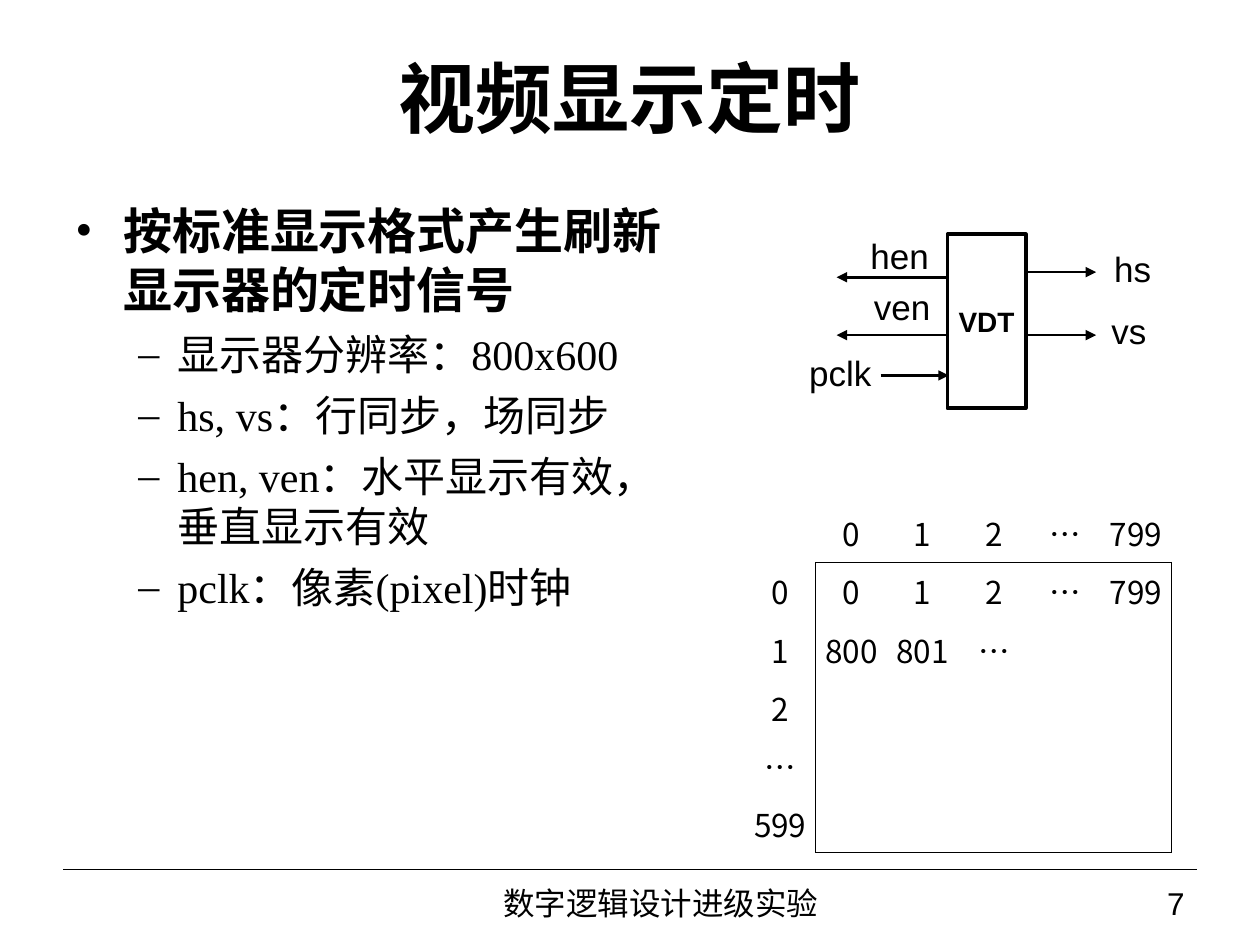
from pptx import Presentation
from pptx.dml.color import RGBColor
from pptx.enum.shapes import MSO_CONNECTOR, MSO_SHAPE
from pptx.enum.text import MSO_ANCHOR, PP_ALIGN
from pptx.oxml.ns import qn
from pptx.util import Inches, Pt
from lxml import etree

LEFT, CENTER, RIGHT = PP_ALIGN.LEFT, PP_ALIGN.CENTER, PP_ALIGN.RIGHT
TOP, MIDDLE = MSO_ANCHOR.TOP, MSO_ANCHOR.MIDDLE
STRAIGHT, RECTANGLE = MSO_CONNECTOR.STRAIGHT, MSO_SHAPE.RECTANGLE
COLORS = {"ink": "000000", "paper": "FFFFFF"}
SERIF, SANS, CJK = "Times New Roman", "Arial", "Noto Sans CJK SC"
NO_STYLE = "{2D5ABB26-0587-4C30-8999-92F81FD0307C}"

BULLETS = [
    (0, "按标准显示格式产生刷新显示器的定时信号"),
    (1, "显示器分辨率：800x600"),
    (1, "hs, vs：行同步，场同步"),
    (1, "hen, ven：水平显示有效，垂直显示有效"),
    (1, "pclk：像素(pixel)时钟"),
]
# Per level: size, bold, left margin, hanging indent, bullet
LEVELS = [(28, True, 0.38, 0.38, "•"), (24, False, 0.81, 0.31, "–")]

PIXELS = [
    ["", "0", "1", "2", "…", "799"],
    ["0", "0", "1", "2", "…", "799"],
    ["1", "800", "801", "…", "", ""],
    ["2", "", "", "", "", ""],
    ["…", "", "", "", "", ""],
    ["599", "", "", "", "", ""],
]

# Signal arrows: tail point x, head point x, y
ARROWS = [(8.15, 8.7, 2.16), (8.15, 8.7, 2.66), (7.53, 6.64, 2.2),
          (7.51, 6.64, 2.66), (6.99, 7.53, 2.98)]
# Signal names: text, middle x, top
SIGNALS = [("hs", 8.99, 1.96), ("vs", 8.96, 2.45), ("hen", 7.14, 1.86),
           ("ven", 7.16, 2.26), ("pclk", 6.67, 2.79)]
SIGNAL_WIDTH = 0.6


def color(name):
    return RGBColor.from_string(COLORS[name])


def style_paragraph(para, size, font, align=LEFT, bold=False):
    para.alignment = align
    for span in para.runs:
        span.font.size = Pt(size)
        span.font.name = font
        span.font.bold = bold
        span.font.color.rgb = color("ink")


def add_text(page, text, place, size, font, align, bold=False, inset=True):
    box = page.shapes.add_textbox(*map(Inches, place))
    frame = box.text_frame
    frame.word_wrap = True
    frame.vertical_anchor = MIDDLE
    if not inset:
        frame.margin_left = frame.margin_right = 0
        frame.margin_top = frame.margin_bottom = 0
    frame.text = text
    style_paragraph(frame.paragraphs[0], size, font, align, bold)


def add_bullets(page):
    box = page.shapes.add_textbox(Inches(0.5), Inches(1.54), Inches(4.97), Inches(5.35))
    frame = box.text_frame
    frame.word_wrap = True
    frame.vertical_anchor = TOP
    frame.text = "\n".join(text for _, text in BULLETS)
    for para, (level, _) in zip(frame.paragraphs, BULLETS):
        size, bold, margin, hanging, mark = LEVELS[level]
        para.level = level
        para.space_after = Pt(6)
        style_paragraph(para, size, SERIF, bold=bold)
        properties = para._p.get_or_add_pPr()
        properties.set("marL", str(Inches(margin)))
        properties.set("indent", str(-Inches(hanging)))
        etree.SubElement(properties, qn("a:buFont"), typeface=SERIF)
        etree.SubElement(properties, qn("a:buChar"), char=mark)


def add_line(page, start, end, width, arrow=False):
    line = page.shapes.add_connector(STRAIGHT, *map(Inches, start + end))
    line.line.color.rgb = color("ink")
    line.line.width = Pt(width)
    if arrow:
        etree.SubElement(line.line._get_or_add_ln(), qn("a:tailEnd"), type="triangle")
    etree.SubElement(line._element.spPr, qn("a:effectLst"))


def set_borders(cell, sides):
    """Draw the given sides of a cell and switch the others off."""
    properties = cell._tc.get_or_add_tcPr()
    # Borders come before the fill, in the order left, right, top, bottom
    for index, side in enumerate("LRTB"):
        edge = etree.Element(qn(f"a:ln{side}"), w=str(Pt(0.45)))
        if side in sides:
            fill = etree.SubElement(edge, qn("a:solidFill"))
            etree.SubElement(fill, qn("a:srgbClr"), val=COLORS["ink"])
        else:
            etree.SubElement(edge, qn("a:noFill"))
        properties.insert(index, edge)


def frame_sides(row, column, last):
    """Sides of a cell that lie on the frame around the pixel area."""
    sides = ""
    if row > 0:
        sides += {0: "R", 1: "L", last: "R"}.get(column, "")
    if column > 0:
        sides += {0: "B", 1: "T", last: "B"}.get(row, "")
    return sides


def add_pixel_table(page):
    count = len(PIXELS)
    table = page.shapes.add_table(count, count, Inches(5.91), Inches(4),
                                  Inches(3.39), Inches(2.77)).table
    table.first_row = table.horz_banding = False
    table._tbl.tblPr.find(qn("a:tableStyleId")).text = NO_STYLE
    for row, values in enumerate(PIXELS):
        for column, value in enumerate(values):
            cell = table.cell(row, column)
            cell.margin_left = cell.margin_right = Inches(0.01)
            cell.vertical_anchor = MIDDLE
            if row and column:
                cell.fill.solid()
                cell.fill.fore_color.rgb = color("paper")
            else:
                cell.fill.background()
            cell.text = value
            style_paragraph(cell.text_frame.paragraphs[0], 18, CJK, CENTER)
            set_borders(cell, frame_sides(row, column, count - 1))


def add_timing_block(page):
    block = page.shapes.add_shape(RECTANGLE, Inches(7.52), Inches(1.86),
                                  Inches(0.62), Inches(1.38))
    block.shadow.inherit = False
    block.fill.background()
    block.line.color.rgb = color("ink")
    block.line.width = Pt(2.25)
    frame = block.text_frame
    frame.word_wrap = False
    frame.vertical_anchor = MIDDLE
    frame.text = "VDT"
    style_paragraph(frame.paragraphs[0], 16, SANS, CENTER, bold=True)


def main():
    deck = Presentation()
    deck.slide_width, deck.slide_height = Inches(10), Inches(7.5)
    page = deck.slides.add_slide(deck.slide_layouts[6])

    # Title and explanation
    add_text(page, "视频显示定时", (0.5, 0.3, 9, 0.93), 44, SERIF, CENTER, bold=True)
    add_bullets(page)

    # Footer
    add_line(page, (0.5, 6.9), (9.5, 6.9), 0.75)
    add_text(page, "7", (7.75, 6.98, 1.75, 0.37), 18, SANS, RIGHT)
    add_text(page, "数字逻辑设计进级实验", (2.83, 6.98, 4.83, 0.37), 18, SANS, CENTER)

    # Pixel numbering
    add_pixel_table(page)

    # Timing block with its signals
    add_timing_block(page)
    for start, end, y in ARROWS:
        add_line(page, (start, y), (end, y), 1.5, arrow=True)
    for name, middle, top in SIGNALS:
        place = (middle - SIGNAL_WIDTH / 2, top, SIGNAL_WIDTH, 0.34)
        add_text(page, name, place, 20, SANS, CENTER, inset=False)

    deck.save("out.pptx")


if __name__ == "__main__":
    main()
